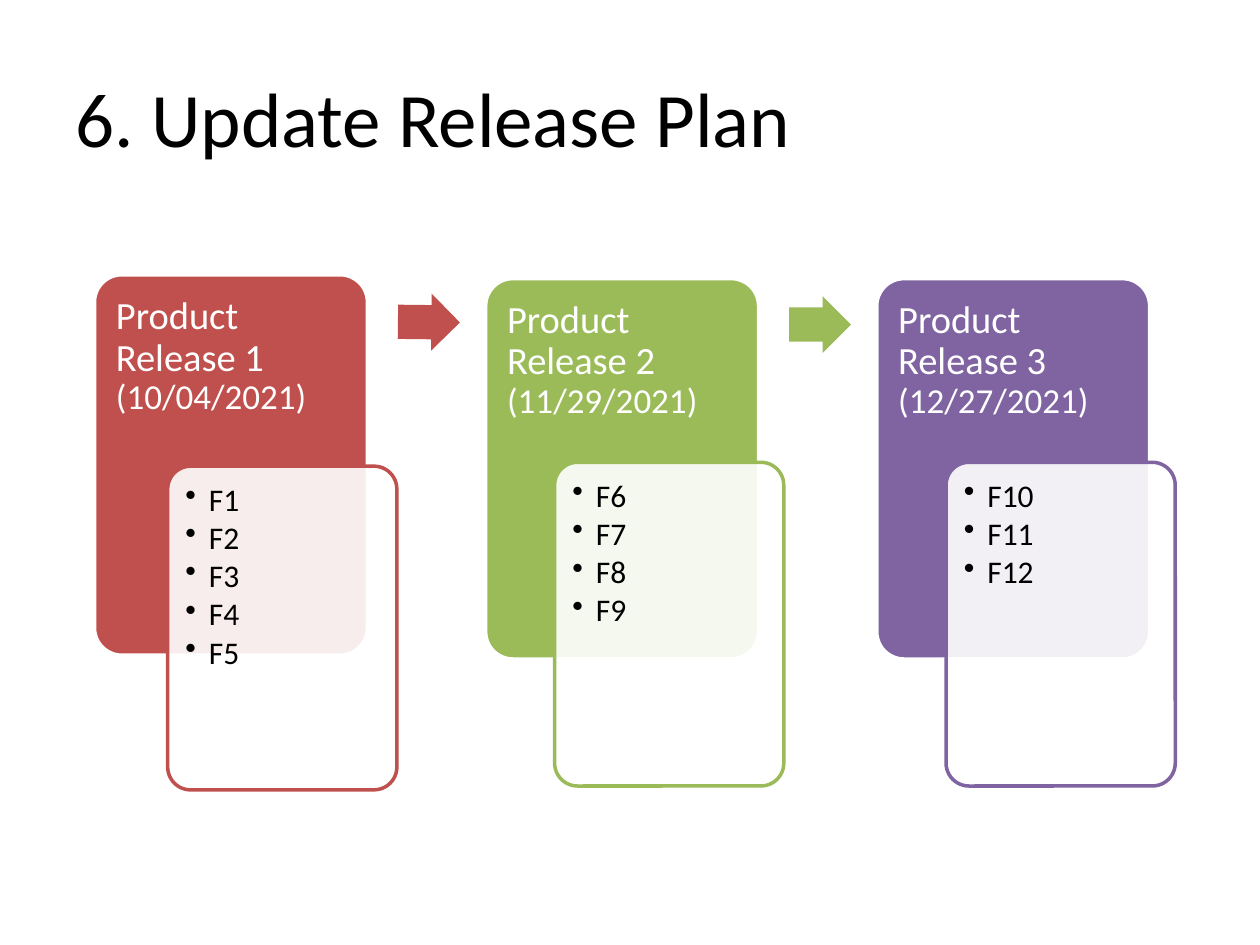
from pptx import Presentation
from pptx.dml.color import RGBColor
from pptx.enum.shapes import MSO_SHAPE as Shape
from pptx.enum.text import MSO_ANCHOR as Anchor, PP_ALIGN as Align
from pptx.oxml.ns import qn
from pptx.util import Pt
from lxml.etree import SubElement

COLORS = {"red": "C0504D", "green": "9BBB59", "purple": "8064A2",
          "white": "FFFFFF", "black": "000000"}

RELEASES = [
    ("Product Release 1 ", "(10/04/2021)", ["F1", "F2", "F3", "F4", "F5"],
     "red", 157, 95.8, 266.4),
    ("Product Release 2 ", "(11/29/2021)", ["F6", "F7", "F8", "F9"],
     "green", 159.2, 316.9, 264.2),
    ("Product Release 3 ", "(12/27/2021)", ["F10", "F11", "F12"],
     "purple", 159.2, 540.6, 264.2),
]
ARROWS = [("red", 167.8, 0.6), ("green", 169.2, 0)]
STEP = 223.5


def add_block(kind, left, top, width, height, fill, line=None, inset=0):
    block = slide.shapes.add_shape(kind, Pt(left), Pt(top), Pt(width), Pt(height))
    block.shadow.inherit = False
    block.fill.solid()
    block.fill.fore_color.rgb = RGBColor.from_string(COLORS[fill])
    if line:
        block.line.color.rgb = RGBColor.from_string(COLORS[line])
        block.line.width = Pt(2)
    else:
        block.line.fill.background()
    frame = block.text_frame
    frame.word_wrap = True
    frame.vertical_anchor = Anchor.TOP
    frame.margin_left = frame.margin_right = Pt(inset)
    frame.margin_top = frame.margin_bottom = Pt(inset)
    return block


def style_run(run, size, color):
    run.font.name = "Calibri"
    run.font.size = Pt(size)
    run.font.color.rgb = RGBColor.from_string(COLORS[color])


prs = Presentation()
prs.slide_width, prs.slide_height = Pt(720), Pt(540)
slide = prs.slides.add_slide(prs.slide_layouts[5])

title = slide.shapes.title
title.left, title.top, title.width, title.height = Pt(36), Pt(21.6), Pt(648), Pt(90)
title.text_frame.text = "6. Update Release Plan"
title.text_frame.vertical_anchor = Anchor.MIDDLE
heading = title.text_frame.paragraphs[0]
heading.alignment = Align.LEFT
style_run(heading.runs[0], 44, "black")

for i, (name, date, features, color, top, list_left, list_top) in enumerate(RELEASES):
    release = add_block(Shape.ROUNDED_RECTANGLE, 54 + i * STEP, top, 156, 217.4,
                        color, "white", 7.7)
    release.adjustments[0] = 0.1
    label = release.text_frame.paragraphs[0]
    label.alignment = Align.LEFT
    label.line_spacing = 0.9
    for text, size in ((name, 22), (date, 20)):
        run = label.add_run()
        run.text = text
        style_run(run, size, "white")

    feature_list = add_block(Shape.ROUNDED_RECTANGLE, list_left, list_top, 131, 185,
                             "white", color, 6.3)
    feature_list.adjustments[0] = 0.1
    white = feature_list.fill._xPr.find(qn("a:solidFill"))[0]
    SubElement(white, qn("a:alpha"), val="90000")
    feature_list.text_frame.text = "\n".join(features)
    for feature in feature_list.text_frame.paragraphs:
        props = feature._p.get_or_add_pPr()
        props.set("marL", str(Pt(13.5)))
        props.set("indent", str(-Pt(13.5)))
        SubElement(props, qn("a:buChar"), char="•")
        feature.level = 1
        feature.alignment = Align.LEFT
        feature.line_spacing = 0.9
        feature.space_after = Pt(2.4)
        style_run(feature.runs[0], 18, "black")

for i, (color, top, angle) in enumerate(ARROWS):
    arrow = add_block(Shape.RIGHT_ARROW, 227.4 + i * STEP, top, 35.4, 32.6, color)
    arrow.adjustments[0] = 0.6
    arrow.adjustments[1] = 0.5
    arrow.rotation = angle

prs.save("out.pptx")
